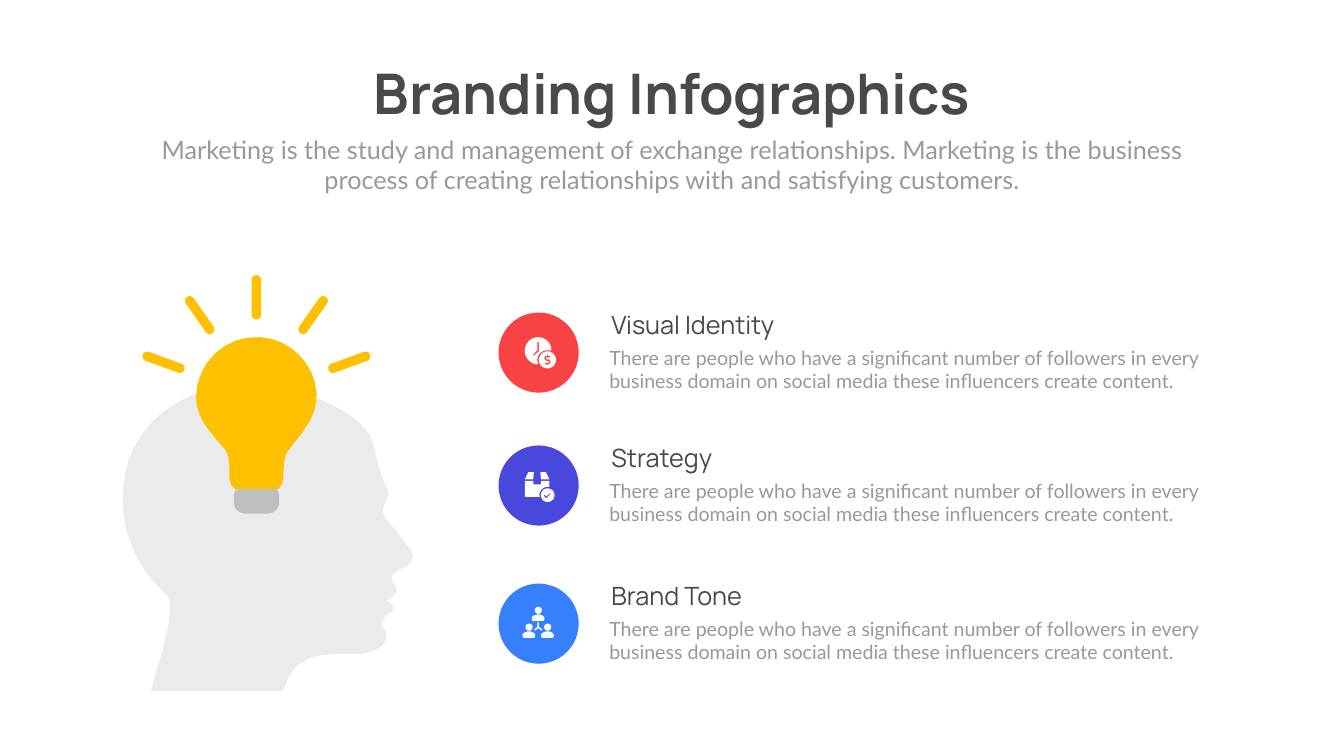
import math
from pptx import Presentation, util as u
from pptx.dml.color import RGBColor
from pptx.enum import shapes, text

DARK, GRAY, WHITE, YELLOW = "494949", "999999", "FFFFFF", "FFC000"
UNIT = u.Cm(2.54) / 100  # outlines are written in hundredths of an inch
CURVE_STEPS = 8

presentation = Presentation()
presentation.slide_width, presentation.slide_height = u.Cm(67.72), u.Cm(38.1)
slide = presentation.slides.add_slide(presentation.slide_layouts[5])


def paint(shape, color):
    shape.shadow.inherit = False
    shape.fill.solid()
    shape.fill.fore_color.rgb = RGBColor.from_string(color)
    shape.line.fill.background()


def add_outline(path, color, dx=0, dy=0):
    """Draw contours of M (start), L (line) and C (cubic curve) commands."""
    builder = None
    for contour in path.split("M")[1:]:
        points, command, numbers = [], "L", []
        for token in contour.split():
            if token in ("L", "C"):
                command = token
                continue
            numbers.append(float(token))
            if len(numbers) < (6 if command == "C" else 2):
                continue
            if command == "L":
                points.append(tuple(numbers))
            else:
                x0, y0 = points[-1]
                x1, y1, x2, y2, x3, y3 = numbers
                for step in range(1, CURVE_STEPS + 1):
                    t = step / CURVE_STEPS
                    a, b, c, d = (1 - t) ** 3, 3 * t * (1 - t) ** 2, 3 * t * t * (1 - t), t ** 3
                    points.append((a * x0 + b * x1 + c * x2 + d * x3,
                                   a * y0 + b * y1 + c * y2 + d * y3))
            numbers = []
        points = [((x + dx) * UNIT, (y + dy) * UNIT) for x, y in points]
        if builder is None:
            builder = slide.shapes.build_freeform(*points[0], scale=1.0)
        else:
            builder.move_to(*points[0])
        builder.add_line_segments(points[1:], close=True)
    paint(builder.convert_to_shape(), color)


# Head in profile
forehead_and_nose = """M 505 764 C 534 765 563 769 591 777 618 785 644 795 669 809
    693 822 716 838 731 860 736 868 740 878 742 887 745 902 748 917 753 931
    756 943 761 954 766 966 769 971 770 978 769 984 767 994 760 1002 760 1012
    760 1015 760 1018 761 1020 762 1024 763 1026 765 1029
    773 1039 782 1049 790 1059 796 1067 802 1075 808 1082
    814 1089 819 1096 819 1105 818 1110 816 1114 813 1117
    810 1121 804 1124 799 1127 792 1130 783 1133 779 1140"""
mouth_and_chin = """ C 776 1146 777 1153 780 1158 782 1161 784 1163 786 1165
    787 1168 787 1171 786 1174 784 1179 780 1183 775 1186
    773 1188 770 1190 767 1191 770 1193 772 1195 774 1197
    777 1200 780 1203 780 1207 780 1213 773 1216 767 1220
    765 1222 762 1225 761 1228 759 1231 757 1234 758 1238
    758 1244 763 1248 765 1253 769 1265 764 1276 754 1284
    746 1290 735 1294 723 1296 707 1299 691 1298 675 1298"""
neck_and_back = """ C 649 1298 622 1299 601 1313 586 1322 577 1335 570 1349
    L 561 1371 299 1371 312 1326 C 319 1305 325 1282 330 1261
    333 1247 335 1233 337 1221 338 1208 340 1196 333 1185
    332 1182 329 1179 327 1177 L 307 1156 C 300 1149 294 1141 288 1132
    272 1110 260 1084 253 1058 245 1032 242 1004 244 976
    246 938 256 901 276 870 303 827 347 795 398 778 433 767 469 763 505 764"""
add_outline(forehead_and_nose + mouth_and_chin + neck_and_back, "EBEBEB")

# Light bulb: socket, then glass
socket = slide.shapes.add_shape(shapes.MSO_SHAPE.ROUNDED_RECTANGLE,
                                u.Cm(11.79), u.Cm(24.43), u.Cm(2.27), u.Cm(1.45))
socket.adjustments[0] = 0.38
paint(socket, "BFBFBF")
add_outline("""M 562 947 C 562 956 558 964 552 970 L 466 970
    C 459 964 455 956 455 947 455 947 457 905 448 894
    423 863 389 833 389 788 389 720 447 664 517 669
    576 673 624 721 628 780 631 828 596 861 570 896 562 907 562 947 562 947""", YELLOW)

# Rays on an arc around the bulb
ray_width, ray_length, arc_radius = 0.48, 2.24, 4.98
for angle in range(-70, 71, 35):
    center_x = 12.92 + arc_radius * math.sin(math.radians(angle))
    center_y = 19.96 - arc_radius * math.cos(math.radians(angle))
    ray = slide.shapes.add_shape(
        shapes.MSO_SHAPE.ROUNDED_RECTANGLE, u.Cm(center_x - ray_width / 2),
        u.Cm(center_y - ray_length / 2), u.Cm(ray_width), u.Cm(ray_length))
    ray.adjustments[0] = 0.5
    ray.rotation = angle
    paint(ray, YELLOW)

# Topic circles; their texts are collected with the title and subtitle
title = slide.shapes.title
title.left, title.top, title.width, title.height = u.Cm(17.15), u.Cm(2.84), u.Cm(33.43), u.Cm(3.68)
subtitle = slide.shapes.add_textbox(u.Cm(7.42), u.Cm(6.63), u.Cm(52.88), u.Cm(3.33))
texts = [
    (title, "Branding Infographics", "Manrope", 80, DARK, True),
    (subtitle, "Marketing is the study and management of exchange relationships. Marketing is "
     "the business process of creating relationships with and satisfying customers.",
     "Lato", 36, GRAY, True),
]
description = ("There are people who have a significant number of followers in every "
               "business domain on social media these influencers create content.")
for name, top, color in [("Visual Identity", 15.75, "F84244"),
                         ("Strategy", 22.45, "4A47DC"),
                         ("Brand Tone", 29.41, "367FFD")]:
    circle = slide.shapes.add_shape(shapes.MSO_SHAPE.OVAL,
                                    u.Cm(25.12), u.Cm(top), u.Cm(4.04), u.Cm(4.04))
    paint(circle, color)
    heading = slide.shapes.add_textbox(u.Cm(30.56), u.Cm(top - 0.27), u.Cm(13.59), u.Cm(1.8))
    body = slide.shapes.add_textbox(u.Cm(30.45), u.Cm(top + 1.54), u.Cm(31.06), u.Cm(2.64))
    texts += [(heading, name, "Manrope", 36, DARK, False),
              (body, description, "Lato", 28, GRAY, False)]

# Wording and format of every text
for shape, words, font_name, size, color, centered in texts:
    frame = shape.text_frame
    frame.text = words
    frame.word_wrap = shape is not title
    frame.auto_size = text.MSO_AUTO_SIZE.SHAPE_TO_FIT_TEXT
    frame.vertical_anchor = text.MSO_ANCHOR.TOP
    paragraph = frame.paragraphs[0]
    paragraph.alignment = text.PP_ALIGN.CENTER if centered else text.PP_ALIGN.LEFT
    font = paragraph.runs[0].font
    font.name, font.size, font.bold = font_name, u.Pt(size), shape is title
    font.color.rgb = RGBColor.from_string(color)

# Clock and coin icon
add_outline("""M 1066 714 C 1066 703 1075 695 1086 695 1088 695 1090 695 1092 696
    L 1094 694 C 1093 680 1082 669 1068 669 1053 669 1041 681 1041 696
    1041 710 1052 722 1066 723 L 1067 721 C 1067 719 1066 716 1066 714
    M 1060 705 C 1060 706 1059 706 1058 705 1058 705 1058 704 1058 703
    L 1066 695 1066 679 C 1066 678 1069 678 1069 679 L 1069 697""", WHITE)
add_outline("""M 1086 697 C 1077 697 1069 705 1069 714 1069 724 1077 731 1086 731
    1095 731 1103 724 1103 714 1103 705 1095 697 1086 697
    M 1085 713 L 1087 713 C 1089 713 1092 715 1092 718 1092 720 1090 722 1087 723
    L 1087 724 C 1087 725 1085 725 1085 724 L 1085 723 1082 723
    C 1080 723 1080 720 1082 720 L 1087 720 C 1089 720 1089 716 1087 716
    L 1085 716 C 1083 716 1080 713 1080 711 1080 708 1082 706 1085 706
    L 1085 704 C 1085 703 1087 703 1087 704 L 1087 706 1090 706
    C 1092 706 1092 709 1090 709 L 1085 709 C 1083 709 1083 713 1085 713""", WHITE)

# Parcel icon: box, two flaps, check mark badge
add_outline("""M 1070 982 C 1070 973 1078 966 1086 966 L 1090 966 1090 954 1073 954
    1073 961 1058 961 1058 954 1041 954 1041 986 1071 986
    C 1071 985 1070 983 1070 982""", WHITE)
add_outline("M 1073 951 L 1090 951 1083 937 1072 937", WHITE)
add_outline("M 1041 951 L 1058 951 1059 937 1048 937", WHITE)
add_outline("""M 1086 969 C 1079 969 1073 975 1073 982 1073 990 1079 996 1086 996
    1094 996 1100 990 1100 982 1100 975 1094 969 1086 969
    M 1093 979 L 1085 988 1083 988 1079 984 1079 982 1081 982
    1084 985 1092 978 1093 978""", WHITE)

# Team icon: three people and the links between them
for dx, dy in [(0, 0), (-18.5, 33.5), (18.5, 33.5)]:
    add_outline("""M 1075 1211 C 1075 1214 1072 1218 1068 1218 1064 1218 1061 1214 1061 1211
        1061 1207 1064 1204 1068 1204 1072 1204 1075 1207 1075 1211""", WHITE, dx, dy)
    add_outline("""M 1058 1232 L 1077 1232 C 1079 1232 1080 1230 1080 1228
        1080 1225 1079 1223 1077 1222 1075 1221 1072 1219 1068 1219
        1064 1219 1060 1221 1058 1222 1056 1223 1055 1225 1055 1228
        1055 1230 1056 1232 1058 1232""", WHITE, dx, dy)
add_outline("""M 1075 1251 C 1076 1251 1076 1249 1076 1249 L 1069 1244 1069 1236
    C 1069 1234 1066 1234 1066 1236 L 1066 1244 1060 1249
    C 1059 1250 1060 1251 1062 1251 L 1068 1246 1074 1251""", WHITE)

presentation.save("out.pptx")
